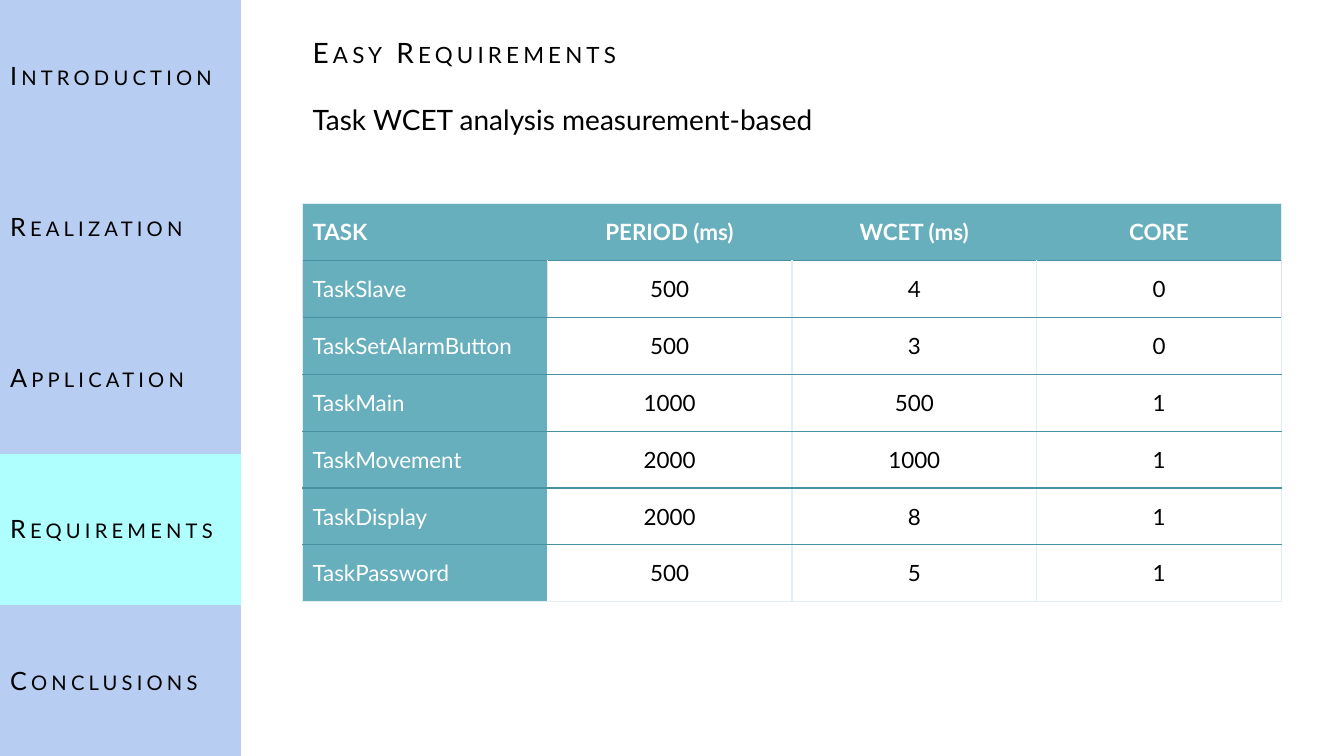
from lxml import etree
from pptx import Presentation
from pptx.dml.color import RGBColor
from pptx.enum.shapes import MSO_SHAPE
from pptx.enum.text import MSO_ANCHOR, MSO_AUTO_SIZE, PP_ALIGN
from pptx.oxml.ns import qn
from pptx.util import Inches, Pt

RECTANGLE = MSO_SHAPE.RECTANGLE
TOP, MIDDLE = MSO_ANCHOR.TOP, MSO_ANCHOR.MIDDLE
LEFT, CENTER = PP_ALIGN.LEFT, PP_ALIGN.CENTER
NO_AUTOFIT = MSO_AUTO_SIZE.NONE

HEADING = "Easy Requirements"
SUBHEADING = "Task WCET analysis measurement-based"
SECTIONS = ["Introduction", "Realization", "Application", "Requirements", "Conclusions"]
CURRENT_SECTION = "Requirements"
TASKS = [
    ("TASK", "PERIOD (ms)", "WCET (ms)", "CORE"),
    ("TaskSlave", "500", "4", "0"),
    ("TaskSetAlarmButton", "500", "3", "0"),
    ("TaskMain", "1000", "500", "1"),
    ("TaskMovement", "2000", "1000", "1"),
    ("TaskDisplay", "2000", "8", "1"),
    ("TaskPassword", "500", "5", "1"),
]

FONT = "Lato"
BLACK, WHITE = "000000", "FFFFFF"
SIDEBAR, HIGHLIGHT, TEAL = "B8CDF2", "AFFFFF", "67AFBD"
DARK_RULE, PALE_RULE, LILAC_RULE = "4793A3", "E1EFF2", "E4DDF0"
PLAIN_TABLE_STYLE = "{2D5ABB26-0587-4C30-8999-92F81FD0307C}"

SLIDE_WIDTH, SLIDE_HEIGHT = 13.33, 7.5
SIDEBAR_WIDTH = 2.39
CONTENT_LEFT, HEADING_WIDTH, HEADING_HEIGHT = 3, 7.9, 0.43
HEADING_TOP, SUBHEADING_TOP = 0.3, 0.97
TASKS_TOP, TASKS_WIDTH, TASKS_HEIGHT = 2.02, 9.71, 3.95


def color(value):
    return RGBColor.from_string(value)


def paint(target, value):
    target.fill.solid()
    target.fill.fore_color.rgb = color(value)


def write(holder, text, size, ink=BLACK, align=LEFT, bold=False, small_caps=False):
    paragraph = holder.text_frame.paragraphs[0]
    run = paragraph.add_run()
    run.text = text
    paragraph.alignment = align
    font = paragraph.font
    font.name, font.size, font.bold = FONT, Pt(size), bold
    font.color.rgb = color(ink)
    if small_caps:
        properties = run._r.get_or_add_rPr()
        properties.set("cap", "small")
        properties.set("spc", "300")
    return paragraph


def place_heading(placeholder, top):
    placeholder.left, placeholder.top = Inches(CONTENT_LEFT), Inches(top)
    placeholder.width, placeholder.height = Inches(HEADING_WIDTH), Inches(HEADING_HEIGHT)
    frame = placeholder.text_frame
    frame.auto_size = NO_AUTOFIT
    frame.word_wrap = True
    frame.vertical_anchor = TOP


def add_plain_table(rows, columns, left, top, width, height):
    frame = slide.shapes.add_table(
        rows, columns, Inches(left), Inches(top), Inches(width), Inches(height))
    table = frame.table
    table.first_row = table.horz_banding = False
    table._tbl.tblPr.find(qn("a:tableStyleId")).text = PLAIN_TABLE_STYLE
    return table


def set_border(cell, side, rule):
    if rule is None:
        return
    ink, points = rule
    line = etree.SubElement(cell._tc.get_or_add_tcPr(), qn("a:ln" + side), w=str(Pt(points)))
    fill = etree.SubElement(line, qn("a:solidFill"))
    etree.SubElement(fill, qn("a:srgbClr"), val=ink)


def horizontal_rule(edge):
    return (PALE_RULE, 0.5) if edge in (0, len(TASKS)) else (DARK_RULE, 1)


def vertical_rule(row, edge):
    outer = edge in (0, len(TASKS[0]))
    if row == 1 and (outer or edge == 1):
        return LILAC_RULE, 1
    if outer:
        return PALE_RULE, 0.5
    return None if row == 0 or edge == 1 else (PALE_RULE, 1)


presentation = Presentation()
presentation.slide_width = Inches(SLIDE_WIDTH)
presentation.slide_height = Inches(SLIDE_HEIGHT)
slide = presentation.slides.add_slide(presentation.slide_layouts[1])

sidebar = slide.shapes.add_shape(
    RECTANGLE, 0, 0, Inches(SIDEBAR_WIDTH), Inches(SLIDE_HEIGHT))
sidebar.shadow.inherit = False
paint(sidebar, SIDEBAR)
sidebar.line.fill.background()

navigation = add_plain_table(len(SECTIONS), 1, 0, 0, SIDEBAR_WIDTH, SLIDE_HEIGHT)
for row, section in enumerate(SECTIONS):
    cell = navigation.cell(row, 0)
    cell.vertical_anchor = MIDDLE
    paint(cell, HIGHLIGHT if section == CURRENT_SECTION else SIDEBAR)
    write(cell, section, 18, small_caps=True)

heading, subheading = slide.placeholders
place_heading(heading, HEADING_TOP)
write(heading, HEADING, 20, small_caps=True)
place_heading(subheading, SUBHEADING_TOP)
subheading_paragraph = write(subheading, SUBHEADING, 20)
subheading_paragraph.space_before = Pt(0)
bullet_properties = subheading_paragraph._p.get_or_add_pPr()
bullet_properties.set("marL", "0")
bullet_properties.set("indent", "0")
bullet_properties.insert_element_before(
    bullet_properties.makeelement(qn("a:buNone")), "a:tabLst", "a:defRPr", "a:extLst")

task_table = add_plain_table(
    len(TASKS), len(TASKS[0]), CONTENT_LEFT, TASKS_TOP, TASKS_WIDTH, TASKS_HEIGHT)
for row, task in enumerate(TASKS):
    for column, text in enumerate(task):
        cell = task_table.cell(row, column)
        cell.vertical_anchor = MIDDLE
        set_border(cell, "L", vertical_rule(row, column))
        set_border(cell, "R", vertical_rule(row, column + 1))
        set_border(cell, "T", horizontal_rule(row))
        set_border(cell, "B", horizontal_rule(row + 1))
        labelled = row == 0 or column == 0
        if labelled:
            paint(cell, TEAL)
        else:
            cell.fill.background()
        write(cell, text, 16, WHITE if labelled else BLACK,
              CENTER if column else LEFT, bold=row == 0)

presentation.save("out.pptx")
